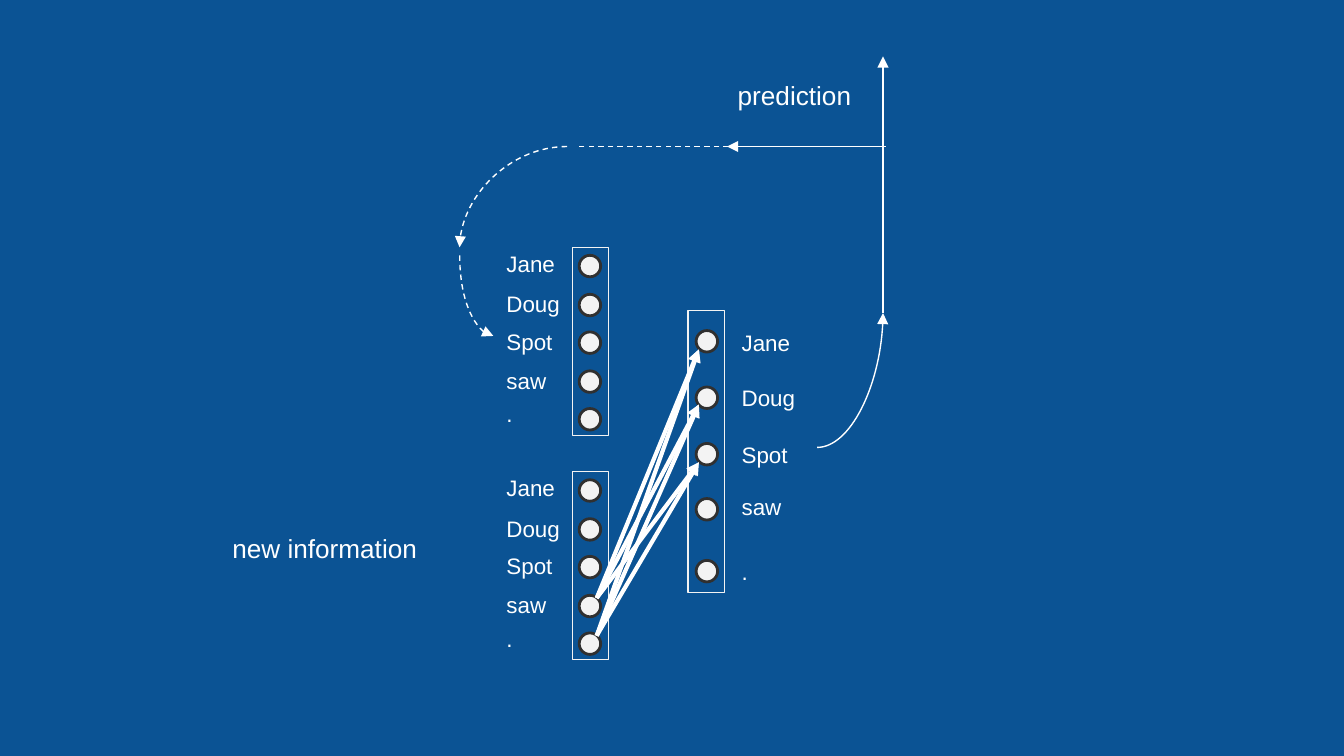
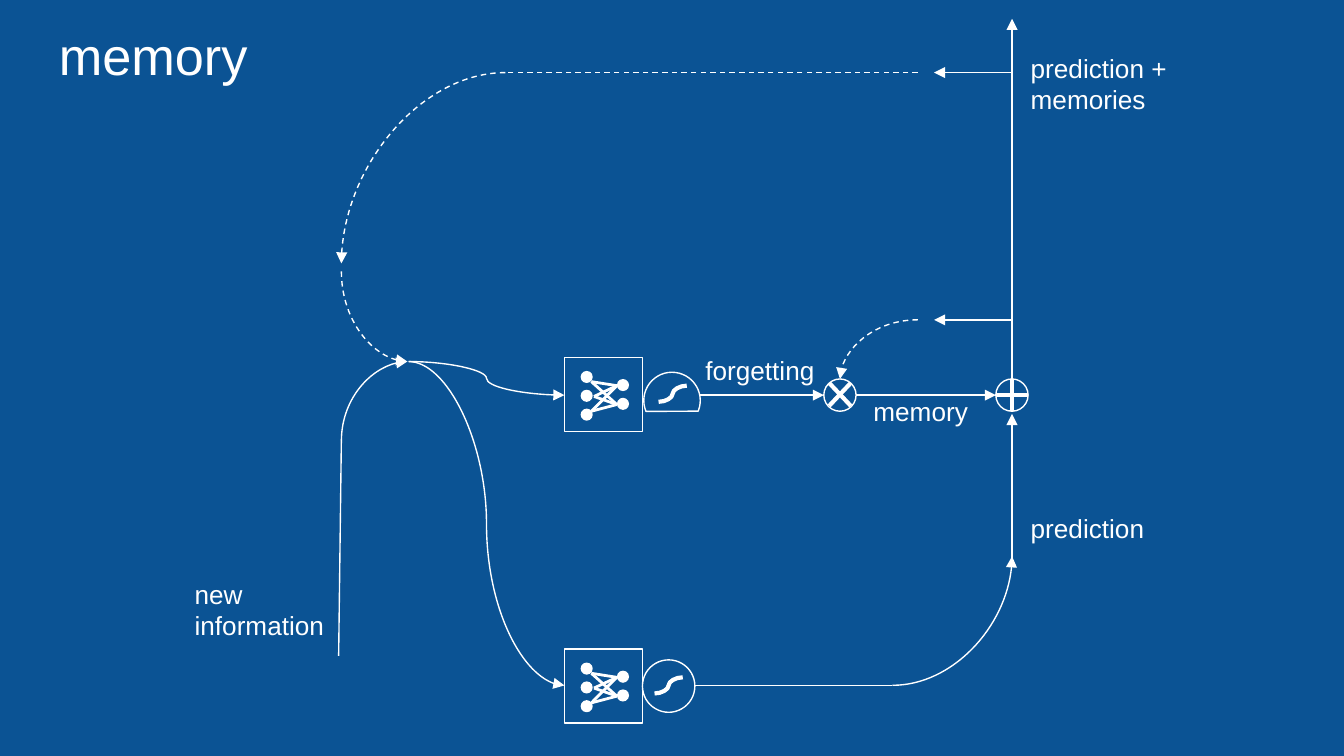
"""Two slides on recurrent networks: word prediction, and prediction with memory."""
from lxml import etree
from pptx import Presentation
from pptx import util as u
from pptx.dml import color
from pptx.enum import dml, shapes, text
from pptx.oxml import ns

NAVY, WHITE, PALE, CHARCOAL = "0B5394", "FFFFFF", "F3F3F3", "303030"
FONT = "Arial"
KIND = shapes.MSO_SHAPE
THIN, MEDIUM, THICK = 0.75, 1.5, 2.25

WORDS = ["Jane", "Doug", "Spot", "saw", "."]
NODE = 0.16
FRAME_WIDTH = 0.27
INPUT_NODES = [0.06, 0.35, 0.63, 0.92, 1.2]
INPUT_LABELS = [-0.08, 0.22, 0.5, 0.79, 1.04]
OUTPUT_NODES = [0.15, 0.57, 0.99, 1.4, 1.86]
OUTPUT_LABELS = [0.04, 0.45, 0.87, 1.26, 1.74]
COLUMNS = [
    (4.26, 3.51, 1.4, 4.31, 3.67, INPUT_NODES, INPUT_LABELS),
    (4.26, 1.84, 1.4, 4.31, 3.67, INPUT_NODES, INPUT_LABELS),
    (5.12, 2.31, 2.1, 5.18, 5.42, OUTPUT_NODES, OUTPUT_LABELS),
]
WEIGHT_STARTS = [(4.44, 4.45), (4.44, 4.73)]
WEIGHT_ENDS = [(5.2, 2.6), (5.2, 3.01), (5.2, 3.44)]

WORD_FLOWS = [
    ("across", (6.08, 3.33), (6.57, 2.33), "arrow"),
    ("line", (6.57, 2.33), (6.57, 0.42), "arrow"),
    ("line", (6.59, 1.09), (5.41, 1.09), "arrow"),
    ("line", (5.71, 1.09), (4.28, 1.09), "dash"),
    ("across", (4.22, 1.09), (3.42, 1.84), "dash arrow"),
    ("upright", (3.42, 1.9), (3.67, 2.5), "dash arrow"),
]
WORD_CAPTIONS = [
    ("prediction", 5.39, 0.49, 1.12, 0.44),
    ("new information", 1.63, 3.86, 1.69, 0.44),
]

MEMORY_FLOWS = [
    ("curve", (3.04, 2.69), (4.2, 2.94), "arrow"),
    ("curve", (3.04, 2.69), (4.2, 5.1), "arrow"),
    ("line", (5.21, 2.94), (6.13, 2.94), "arrow"),
    ("line", (6.37, 2.94), (7.41, 2.94), "arrow"),
    ("line", (7.53, 4.2), (7.53, 3.08), "arrow"),
    ("across", (6.64, 5.1), (7.53, 4.14), "arrow"),
    ("across", (6.83, 2.38), (6.25, 2.82), "dash arrow"),
    ("line", (7.53, 2.38), (6.95, 2.38), "arrow"),
    ("line", (7.53, 2.82), (7.53, 0.14), "arrow"),
    ("line", (7.53, 0.54), (6.95, 0.54), "arrow"),
    ("line", (6.83, 0.54), (3.76, 0.54), "dash"),
    ("across", (3.76, 0.54), (2.54, 1.96), "dash arrow"),
    ("upright", (2.54, 2.02), (3.03, 2.69), "dash arrow"),
    ("upright", (2.54, 3.28), (3.03, 2.69), "arrow"),
    ("line", (2.54, 3.28), (2.52, 4.88), ""),
    ("line", (6.64, 5.1), (5.17, 5.1), ""),
]
MEMORY_CAPTIONS = [
    ("prediction + memories", 7.57, 0.29, 1.31, 0.44),
    ("memory", 6.4, 2.84, 0.92, 0.44),
    ("forgetting", 5.15, 2.54, 1.04, 0.44),
    ("new information", 1.35, 4.2, 1.2, 0.78),
    ("prediction", 7.57, 3.71, 1.12, 0.44),
]
NETWORKS = [(4.2, 2.66), (4.2, 4.83)]
NETWORK_DOTS = [(0.12, 0.1), (0.12, 0.24), (0.12, 0.38), (0.39, 0.16), (0.39, 0.3)]
NETWORK_STARTS = [(0.2, 0.18), (0.22, 0.29), (0.2, 0.4)]
NETWORK_ENDS = [(0.39, 0.21), (0.39, 0.35)]
GATES = [
    (6.13, 2.82, [((0.2, 0.03), (0.04, 0.2)), ((0.04, 0.03), (0.2, 0.2))]),
    (7.41, 2.82, [((0.12, 0), (0.12, 0.24)), ((0, 0.12), (0.24, 0.12))]),
]


def rgb(value):
    """Turn a hex string into a colour."""
    return color.RGBColor.from_string(value)


def add_slide(deck):
    """Add a blank slide with the shared background."""
    page = deck.slides.add_slide(deck.slide_layouts[6])
    page.background.fill.solid()
    page.background.fill.fore_color.rgb = rgb(NAVY)
    return page


def add_shape(canvas, kind, left, top, width, height, fill=None, line=None, weight=THIN):
    """Add a preset shape with optional fill and outline."""
    shape = canvas.add_shape(kind, *map(u.Inches, (left, top, width, height)))
    shape.shadow.inherit = False
    for part, value in ((shape.fill, fill), (shape.line.fill, line)):
        if value:
            part.solid()
            part.fore_color.rgb = rgb(value)
        else:
            part.background()
    if line:
        shape.line.width = u.Pt(weight)
    return shape


def add_link(canvas, route, start, end, style="", weight=THIN):
    """Add a straight, S-shaped or quarter-turn connector; 'upright' turns leave vertically."""
    (x1, y1), (x2, y2) = start, end
    if route == "upright":
        mid_x, mid_y = (x1 + x2) / 2, (y1 + y2) / 2
        half_w, half_h = (x2 - x1) / 2, (y2 - y1) / 2
        x1, y1, x2, y2 = mid_x + half_h, mid_y - half_w, mid_x - half_h, mid_y + half_w
    kind = shapes.MSO_CONNECTOR.STRAIGHT if route == "line" else shapes.MSO_CONNECTOR.CURVE
    link = canvas.add_connector(kind, *map(u.Inches, (x1, y1, x2, y2)))
    link.line.color.rgb = rgb(WHITE)
    link.line.width = u.Pt(weight)
    if "dash" in style:
        link.line.dash_style = dml.MSO_LINE.DASH
    props = link._element.spPr
    if route in ("across", "upright"):
        props.find(ns.qn("a:prstGeom")).set("prst", "curvedConnector2")
    if route == "upright":
        props.find(ns.qn("a:xfrm")).set("rot", str(270 * 60000))
    if "arrow" in style:
        etree.SubElement(props.find(ns.qn("a:ln")), ns.qn("a:tailEnd"), type="triangle")
    etree.SubElement(props, ns.qn("a:effectLst"))


def add_text(page, words, left, top, width, height, size=14):
    """Add a white, top-anchored text box."""
    box = page.shapes.add_textbox(*map(u.Inches, (left, top, width, height)))
    frame = box.text_frame
    frame.word_wrap = True
    frame.vertical_anchor = text.MSO_ANCHOR.TOP
    frame.margin_left = frame.margin_right = u.Inches(0.1)
    frame.margin_top = frame.margin_bottom = u.Inches(0.1)
    span = frame.paragraphs[0].add_run()
    span.text = words
    span.font.name = FONT
    span.font.size = u.Pt(size)
    span.font.color.rgb = rgb(WHITE)


def add_flows(page, flows, captions):
    """Draw a slide's connectors and their captions."""
    for flow in flows:
        add_link(page.shapes, *flow)
    for caption in captions:
        add_text(page, *caption)


def add_column(page, left, top, height, node_left, label_left, nodes, labels):
    """Draw one framed column of word nodes with its labels."""
    add_shape(page.shapes, KIND.RECTANGLE, left, top, FRAME_WIDTH, height, line=PALE)
    for word, node, label in zip(WORDS, nodes, labels):
        add_shape(page.shapes, KIND.OVAL, node_left, top + node, NODE, NODE,
                  PALE, CHARCOAL, MEDIUM)
        add_text(page, word, label_left, top + label, 0.67, 0.3, 12)


def add_network(page, left, top):
    """Draw a grouped network icon in a frame."""
    icon = page.shapes.add_group_shape().shapes
    for x, y in NETWORK_DOTS:
        add_shape(icon, KIND.OVAL, left + x, top + y, 0.09, 0.09, WHITE)
    for x1, y1 in NETWORK_STARTS:
        for x2, y2 in NETWORK_ENDS:
            add_link(icon, "line", (left + x1, top + y1), (left + x2, top + y2), weight=MEDIUM)
    add_shape(icon, KIND.RECTANGLE, left, top, 0.58, 0.55, line=WHITE)


def add_squash(page, kind, left, top, size, start):
    """Draw a grouped squashing-function icon and return its outline."""
    icon = page.shapes.add_group_shape().shapes
    outline = add_shape(icon, kind, left, top, size, size, line=WHITE)
    x, y = start
    add_link(icon, "curve", start, (x + 0.21, y - 0.12), weight=THICK)
    return outline


def add_gate(page, left, top, strokes):
    """Draw a grouped circle holding a plus or a cross."""
    icon = page.shapes.add_group_shape().shapes
    add_shape(icon, KIND.OVAL, left, top, 0.24, 0.24, line=WHITE)
    for (x1, y1), (x2, y2) in strokes:
        add_link(icon, "line", (left + x1, top + y1), (left + x2, top + y2), weight=THICK)


def build_words(deck):
    """Build the word prediction slide."""
    page = add_slide(deck)
    for column in COLUMNS:
        add_column(page, *column)
    add_flows(page, WORD_FLOWS, WORD_CAPTIONS)
    for start in WEIGHT_STARTS:
        for end in WEIGHT_ENDS:
            add_link(page.shapes, "line", start, end, "arrow", THICK)


def build_memory(deck):
    """Build the memory slide."""
    page = add_slide(deck)
    for network in NETWORKS:
        add_network(page, *network)
    add_squash(page, KIND.OVAL, 4.78, 4.91, 0.39, (4.87, 5.16))
    dome = add_squash(page, KIND.CHORD, 4.79, 2.77, 0.42, (4.9, 2.99))
    dome.rotation = 112.1
    dome.adjustments[0], dome.adjustments[1] = 27, 162
    for gate in GATES:
        add_gate(page, *gate)
    add_flows(page, MEMORY_FLOWS, MEMORY_CAPTIONS)
    add_text(page, "memory", 0.34, 0.07, 2.3, 2.77, 28)


def main():
    """Build and save the deck."""
    deck = Presentation()
    deck.slide_width = u.Inches(10)
    deck.slide_height = deck.slide_width * 9 // 16
    build_words(deck)
    build_memory(deck)
    deck.save("out.pptx")


if __name__ == "__main__":
    main()
